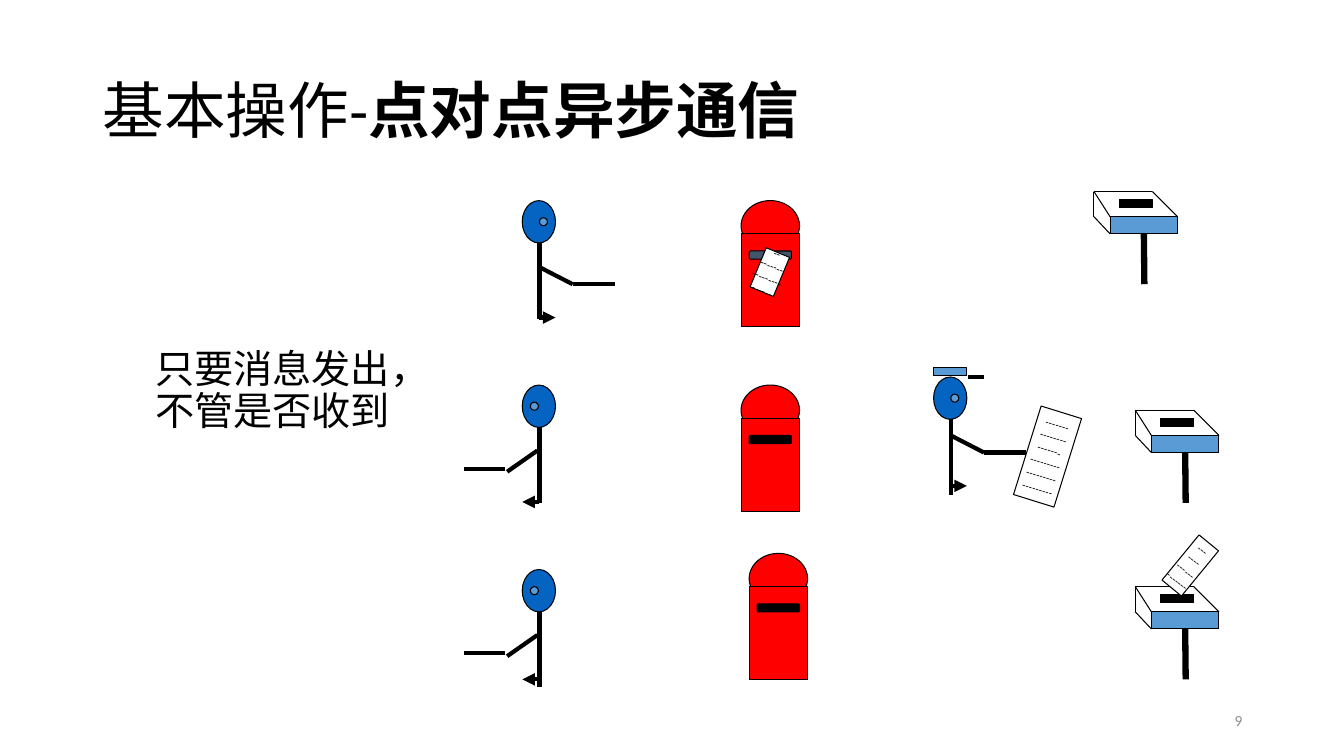
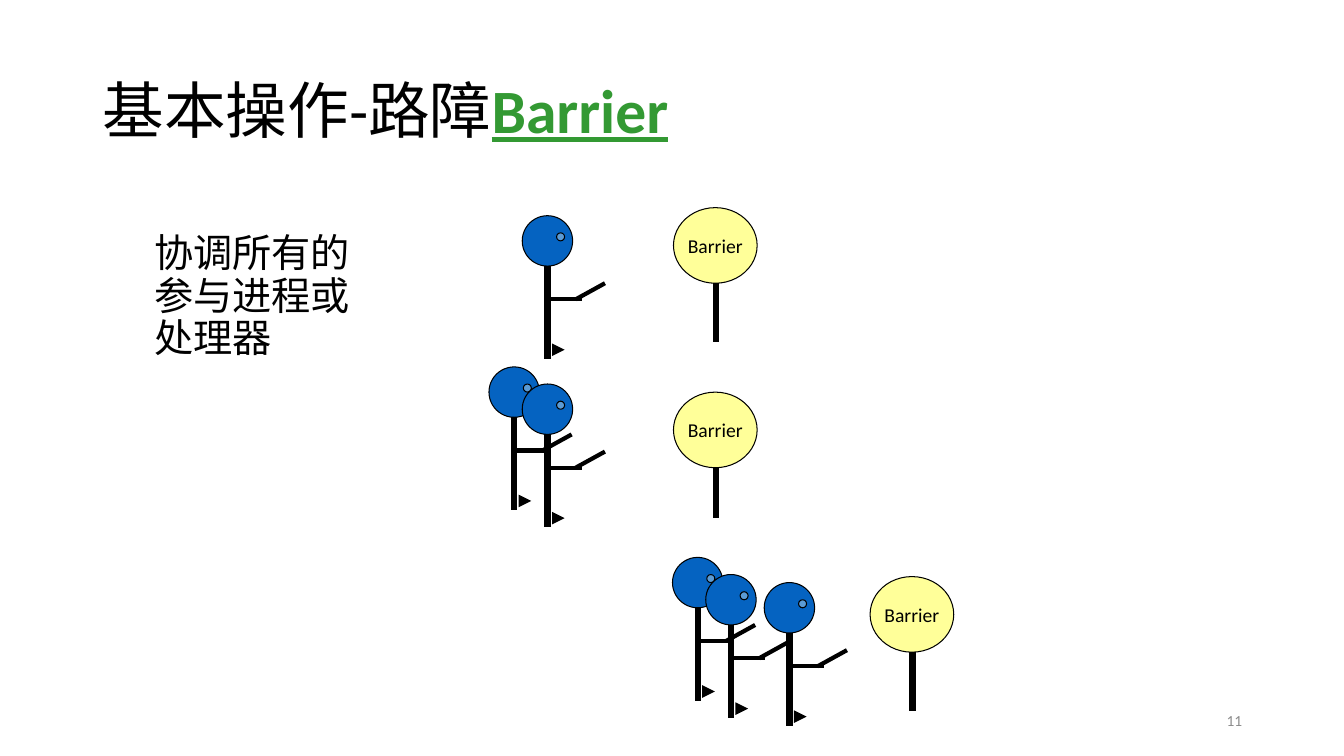
from lxml.etree import SubElement
from pptx import Presentation
from pptx.dml.color import RGBColor
from pptx.enum.shapes import MSO_CONNECTOR, MSO_SHAPE
from pptx.enum.text import MSO_ANCHOR, PP_ALIGN
from pptx.oxml.ns import qn
from pptx.util import Inches, Pt

FONT = "Calibri"
COLORS = {
    "black": "000000",
    "white": "FFFFFF",
    "head": "0563C1",
    "panel": "5B9BD5",
    "mailbox": "FF0000",
    "open_slot": "44546A",
    "sign": "FFFF99",
    "accent": "339933",
    "number": "8C8C8C",
}

# Upper arm and forearm, measured from the neck line and the top of the head.
ARMS = {
    "right": (((0, 0.66), (0.33, 0.83)), ((0.33, 0.83), (0.75, 0.83))),
    "left": (((-0.02, 0.65), (-0.32, 0.86)), ((-0.34, 0.83), (-0.75, 0.83))),
}


def rgb(name):
    return RGBColor.from_string(COLORS[name])


def write(shape, paragraphs, size, color="black", align=PP_ALIGN.LEFT,
          anchor=MSO_ANCHOR.TOP, wrap=True, spacing=None):
    """Fill a shape; each paragraph is a list of (text, run format) pairs."""
    tf = shape.text_frame
    tf.word_wrap = wrap
    tf.vertical_anchor = anchor
    for i, runs in enumerate(paragraphs):
        p = tf.paragraphs[0] if i == 0 else tf.add_paragraph()
        p.alignment = align
        if spacing:
            p.line_spacing = spacing
        for text, fmt in runs:
            r = p.add_run()
            r.text = text
            r.font.name = FONT
            r.font.size = Pt(size)
            r.font.bold = fmt.get("bold")
            r.font.underline = fmt.get("underline")
            r.font.color.rgb = rgb(fmt.get("color", color))


def add_text(shapes, box, paragraphs, size, **fmt):
    tb = shapes.add_textbox(*map(Inches, box))
    write(tb, paragraphs, size, **fmt)


def add_shape(shapes, kind, box, fill):
    sp = shapes.add_shape(kind, *map(Inches, box))
    sp.shadow.inherit = False
    sp.fill.solid()
    sp.fill.fore_color.rgb = rgb(fill)
    sp.line.color.rgb = rgb("black")
    sp.line.width = Pt(0.75)
    return sp


def add_line(shapes, start, end, width=3, arrow=False):
    cxn = shapes.add_connector(MSO_CONNECTOR.STRAIGHT, *map(Inches, (*start, *end)))
    cxn.line.color.rgb = rgb("black")
    cxn.line.width = Pt(width)
    if arrow:
        SubElement(cxn.line._get_or_add_ln(), qn("a:tailEnd"), type="triangle")
    SubElement(cxn._element.spPr, qn("a:effectLst"))
    return cxn


def add_frame(s, title, body, body_box, number):
    add_text(s.shapes, (0.92, 0.4, 11.5, 1.45), [title], 44,
             anchor=MSO_ANCHOR.MIDDLE, spacing=0.9)
    add_text(s.shapes, body_box, [[(body, {})]], 28, spacing=0.9)
    add_text(s.shapes, (9.42, 6.95, 3, 0.4), [[(number, {})]], 11, color="number",
             align=PP_ALIGN.RIGHT, anchor=MSO_ANCHOR.MIDDLE)


def add_person(shapes, x, y, facing="right", foot=1.16, arm_lift=0):
    cx = x + 0.17
    toe, eye = (0.16, 0) if facing == "right" else (-0.17, -0.09)
    add_shape(shapes, MSO_SHAPE.OVAL, (x, y, 0.33, 0.42), "head")
    add_shape(shapes, MSO_SHAPE.OVAL, (cx + eye, y + 0.17, 0.08, 0.08), "panel")
    add_line(shapes, (cx, y + 0.42), (cx, y + 1.17))
    add_line(shapes, (cx, y + foot), (cx + toe, y + foot), arrow=True)
    for (x1, y1), (x2, y2) in ARMS[facing]:
        add_line(shapes, (cx + x1, y + y1 - arm_lift), (cx + x2, y + y2 - arm_lift))


def add_postman(shapes, x, y):
    add_person(shapes, x, y, foot=1.08, arm_lift=0.08)
    add_shape(shapes, MSO_SHAPE.RECTANGLE, (x, y - 0.09, 0.33, 0.08), "panel")
    add_line(shapes, (x + 0.5, y), (x + 0.34, y), width=2.25)


def add_mailbox(shapes, x, y, slot="black"):
    add_shape(shapes, MSO_SHAPE.OVAL, (x, y, 0.58, 0.5), "mailbox")
    add_shape(shapes, MSO_SHAPE.RECTANGLE, (x, y + 0.33, 0.58, 0.92), "mailbox")
    add_shape(shapes, MSO_SHAPE.ROUNDED_RECTANGLE,
              (x + 0.08, y + 0.5, 0.42, 0.08), slot)


def add_letterbox(shapes, x, y):
    """Receiver's box on a post, seen from above."""
    front = add_shape(shapes, MSO_SHAPE.RECTANGLE,
                      (x + 0.16, y + 0.25, 0.67, 0.17), "panel")
    post = add_line(shapes, (x + 0.5, y + 0.42), (x + 0.5, y + 0.92), width=4.5)
    post.begin_connect(front, 2)
    edges = [(0.83, 0.25), (0.58, 0), (0, 0), (0, 0.25), (0.16, 0.42)]
    edges = [(x + dx, y + dy) for dx, dy in edges]
    for start, end in [*zip(edges, edges[1:]), (edges[2], (x + 0.16, y + 0.25))]:
        add_line(shapes, start, end, width=0.75)
    add_shape(shapes, MSO_SHAPE.RECTANGLE, (x + 0.25, y + 0.08, 0.33, 0.08), "black")


def add_letter(shapes, box, rotation, dashes):
    """Sheet of paper; dashes gives the length of each written line."""
    sp = add_shape(shapes, MSO_SHAPE.RECTANGLE, box, "white")
    sp.rotation = rotation
    write(sp, [[("-" * n, {})] for n in dashes], 8, align=PP_ALIGN.CENTER,
          anchor=MSO_ANCHOR.MIDDLE, wrap=False)


def add_walkers(s, spots):
    """Group of figures, each spot being the top left of a head."""
    shapes = s.shapes.add_group_shape().shapes
    for x, y in spots:
        cx = x + 0.25
        add_shape(shapes, MSO_SHAPE.OVAL, (x, y, 0.5, 0.5), "head")
        add_line(shapes, (cx, y + 0.5), (cx, y + 1.42), width=4.5)
        add_line(shapes, (cx + 0.09, y + 1.33), (cx + 0.17, y + 1.33), arrow=True)
        add_line(shapes, (cx, y + 0.83), (cx + 0.34, y + 0.83))
        add_line(shapes, (cx + 0.28, y + 0.83), (cx + 0.57, y + 0.67))
        add_shape(shapes, MSO_SHAPE.OVAL, (x + 0.34, y + 0.17, 0.08, 0.08), "panel")


def add_sign(s, x, y, post):
    shapes = s.shapes.add_group_shape().shapes
    disc = add_shape(shapes, MSO_SHAPE.OVAL, (x, y, 0.83, 0.75), "sign")
    write(disc, [[("Barrier", {})]], 14, align=PP_ALIGN.CENTER,
          anchor=MSO_ANCHOR.MIDDLE, wrap=False)
    add_line(shapes, (x + 0.42, y + 0.75), (x + 0.42, y + 0.75 + post), width=4.5)


def build_async_slide(s):
    shapes = s.shapes
    add_person(shapes, 5.18, 1.99)
    add_person(shapes, 5.18, 3.82, "left")
    add_person(shapes, 5.18, 5.65, "left", foot=1.09)
    add_postman(shapes, 9.26, 3.74)
    add_mailbox(shapes, 7.35, 1.99, slot="open_slot")
    add_mailbox(shapes, 7.35, 3.82)
    add_mailbox(shapes, 7.43, 5.49)
    for x, y in [(10.85, 1.9), (11.26, 4.07), (11.26, 5.82)]:
        add_letterbox(shapes, x, y)
    add_letter(shapes, (7.51, 2.49, 0.25, 0.42), 22.5, (2, 7, 9, 6))
    add_letter(shapes, (10.18, 4.07, 0.42, 0.92), 17.3, (7, 8, 7, 9, 9, 9))
    add_letter(shapes, (11.68, 5.32, 0.25, 0.58), 39.4, (3, 4, 6, 7))
    add_frame(s, [("基本操作-", {}), ("点对点异步通信", {"bold": True})],
              "只要消息发出，不管是否收到", (1.44, 3.42, 3.19, 1.15), "9")


def build_barrier_slide(s):
    add_walkers(s, [(5.18, 2.14)])
    add_walkers(s, [(4.85, 3.64), (5.18, 3.81)])
    add_walkers(s, [(6.67, 5.53), (7, 5.7), (7.58, 5.78)])
    for x, y, post in [(6.68, 2.06, 0.58), (6.68, 3.89, 0.5), (8.63, 5.72, 0.58)]:
        add_sign(s, x, y, post)
    accent = {"bold": True, "underline": True, "color": "accent"}
    add_frame(s, [("基本操作-路障", {}), ("Barrier", accent)],
              "协调所有的参与进程或处理器", (1.43, 2.27, 2.34, 1.88), "11")


def main():
    prs = Presentation()
    prs.slide_width, prs.slide_height = Inches(13.33), Inches(7.5)
    for build in (build_async_slide, build_barrier_slide):
        build(prs.slides.add_slide(prs.slide_layouts[6]))
    prs.save("out.pptx")


if __name__ == "__main__":
    main()
